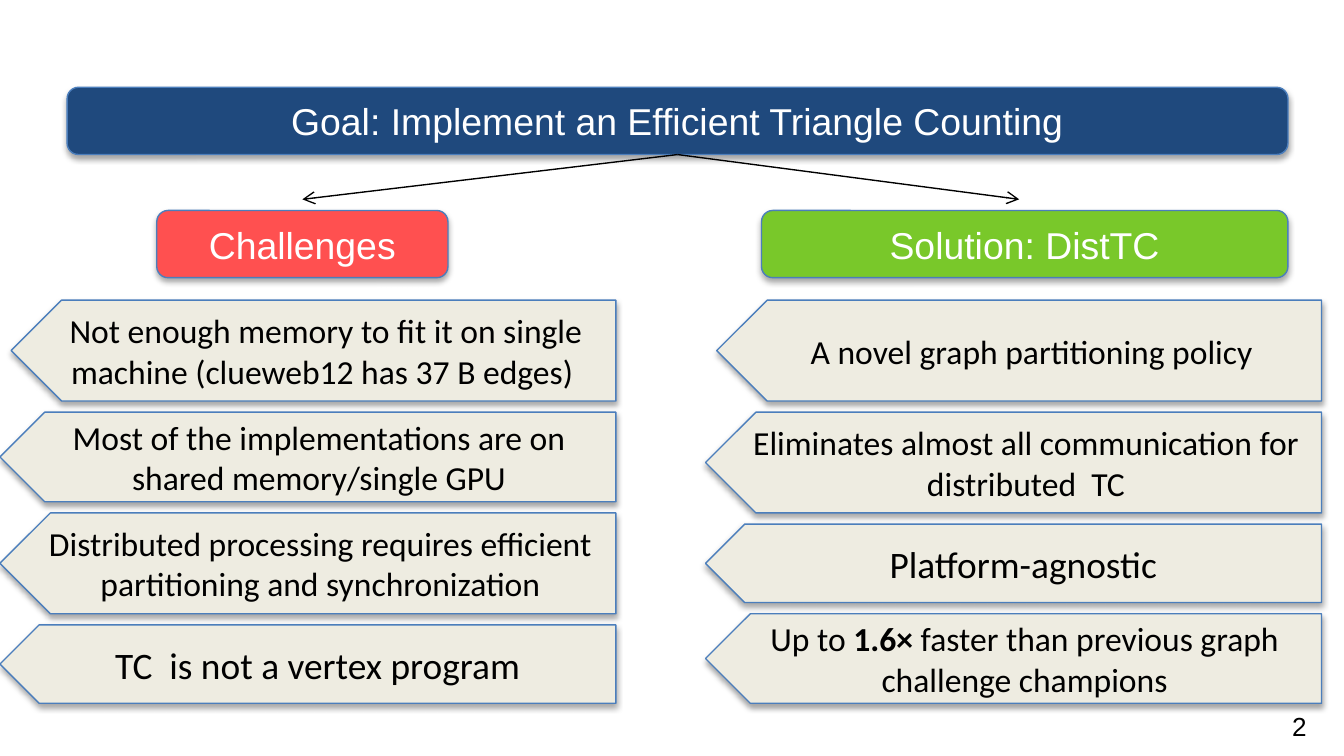
from lxml import etree
from pptx import Presentation
from pptx import util as u
from pptx.dml.color import RGBColor
from pptx.enum import shapes, text
from pptx.oxml.ns import qn

PX = 7620  # EMU; 120 px to the inch
WIDTH, HEIGHT = 1200, 675
NAVY, RED, GREEN, CREAM = "1F497D", "FF5050", "79C82A", "EEECE1"
BLUE, BLACK, WHITE = "4B7EBC", "000000", "FFFFFF"
GAP = 10


def px(n):
    return u.Emu(n * PX)


def rgb(value):
    return RGBColor.from_string(value)


class Deck:
    """Holds the style and the current slide."""
    heading_font = "Arial"
    body_font = "Calibri"

    def __init__(self):
        self.prs = Presentation()
        self.prs.slide_width, self.prs.slide_height = px(WIDTH), px(HEIGHT)
        self.s = self.prs.slides.add_slide(self.prs.slide_layouts[6])

    def add_runs(self, p, runs, size, font, color):
        """Add runs to a paragraph; each run is (words, bold)."""
        for words, bold in runs:
            r = p.add_run()
            r.text = words
            r.font.size, r.font.name, r.font.bold = u.Pt(size), font, bold
            r.font.color.rgb = rgb(color)

    def drop_shadow(self, sp):
        effects = etree.SubElement(sp._element.spPr, qn("a:effectLst"))
        shadow = etree.SubElement(effects, qn("a:outerShdw"), blurRad="40000",
                                  dist="23000", dir="5400000", rotWithShape="0")
        color = etree.SubElement(shadow, qn("a:srgbClr"), val=BLACK)
        etree.SubElement(color, qn("a:alpha"), val="35000")

    def box(self, kind, x, y, w, h, fill, runs, size, font, color):
        sp = self.s.shapes.add_shape(kind, px(x), px(y), px(w), px(h))
        sp.fill.solid()
        sp.fill.fore_color.rgb = rgb(fill)
        sp.line.color.rgb = rgb(BLUE)
        sp.line.width = u.Pt(0.75)
        self.drop_shadow(sp)
        tf = sp.text_frame
        tf.word_wrap = True
        tf.vertical_anchor = text.MSO_ANCHOR.MIDDLE
        p = tf.paragraphs[0]
        p.alignment = text.PP_ALIGN.CENTER
        self.add_runs(p, runs, size, font, color)
        return sp

    def heading(self, x, y, w, fill, words):
        return self.box(shapes.MSO_SHAPE.ROUNDED_RECTANGLE, x, y, w, 60, fill,
                        [(words, False)], 20, self.heading_font, WHITE)

    def tag(self, x, y, w, h, size, runs):
        """Pentagon that points left."""
        sp = self.box(shapes.MSO_SHAPE.PENTAGON, x, y, w, h, CREAM,
                      runs, size, self.body_font, BLACK)
        sp._element.spPr.find(qn("a:xfrm")).set("flipH", "1")

    def tag_column(self, right, y, tags):
        for w, h, size, runs in tags:
            self.tag(right - w, y, w, h, size, runs)
            y += h + GAP

    def arrow(self, start, x, y):
        """Arrow from the bottom of a shape to a point."""
        line = self.s.shapes.add_connector(
            shapes.MSO_CONNECTOR.STRAIGHT, 0, 0, px(x), px(y))
        line.begin_connect(start, 2)
        line.line.color.rgb = rgb(BLACK)
        line.line.width = u.Pt(0.75)
        sp_pr = line._element.spPr
        etree.SubElement(sp_pr.find(qn("a:ln")), qn("a:tailEnd"), type="arrow")
        etree.SubElement(sp_pr, qn("a:effectLst"))

    def page_number(self, x, y, w, h, number):
        sp = self.s.shapes.add_textbox(px(x), px(y), px(w), px(h))
        tf = sp.text_frame
        tf.word_wrap = False
        tf.auto_size = text.MSO_AUTO_SIZE.SHAPE_TO_FIT_TEXT
        self.add_runs(tf.paragraphs[0], [(number, False)], 14,
                      self.heading_font, BLACK)


# Each tag: width, height, text size, runs
CHALLENGES = [
    (540, 90, 18, [("Not enough memory to fit it on single machine "
                    "(clueweb12 has 37 B edges) ", False)]),
    (550, 80, 18, [("Most of the implementations are on shared "
                    "memory/single GPU", False)]),
    (550, 90, 18, [("Distributed processing requires efficient "
                    "partitioning and synchronization", False)]),
    (550, 70, 20, [("TC  is not a vertex program", False)]),
]
SOLUTIONS = [
    (540, 90, 18, [("A novel graph partitioning policy", False)]),
    (550, 90, 18, [("Eliminates almost all communication for "
                    "distributed  TC", False)]),
    (550, 70, 20, [("Platform-agnostic", False)]),
    (550, 80, 18, [("Up to ", False), ("1.6× ", True),
                   ("faster than previous graph challenge champions", False)]),
]


def main():
    deck = Deck()
    goal = deck.heading(60, 78, 1090, NAVY,
                        "Goal: Implement an Efficient Triangle Counting")
    deck.heading(140, 188, 260, RED, "Challenges")
    deck.heading(680, 188, 470, GREEN, "Solution: DistTC")
    for x in (270, 910):
        deck.arrow(goal, x, 178)
    deck.tag_column(550, 268, CHALLENGES)
    deck.tag_column(1180, 268, SOLUTIONS)
    deck.page_number(1142, 628, 38, 40, "2")
    deck.prs.save("out.pptx")


if __name__ == "__main__":
    main()
